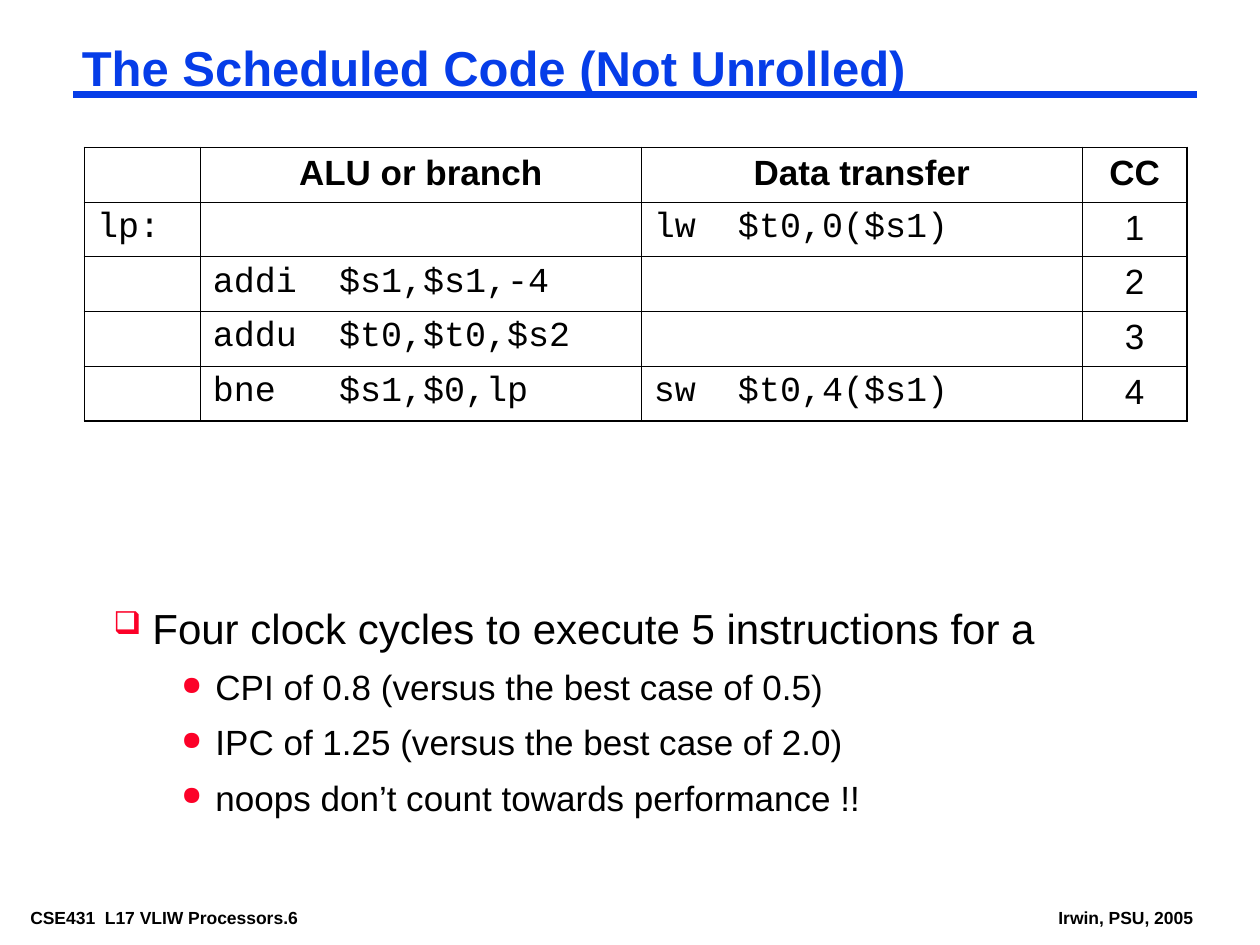
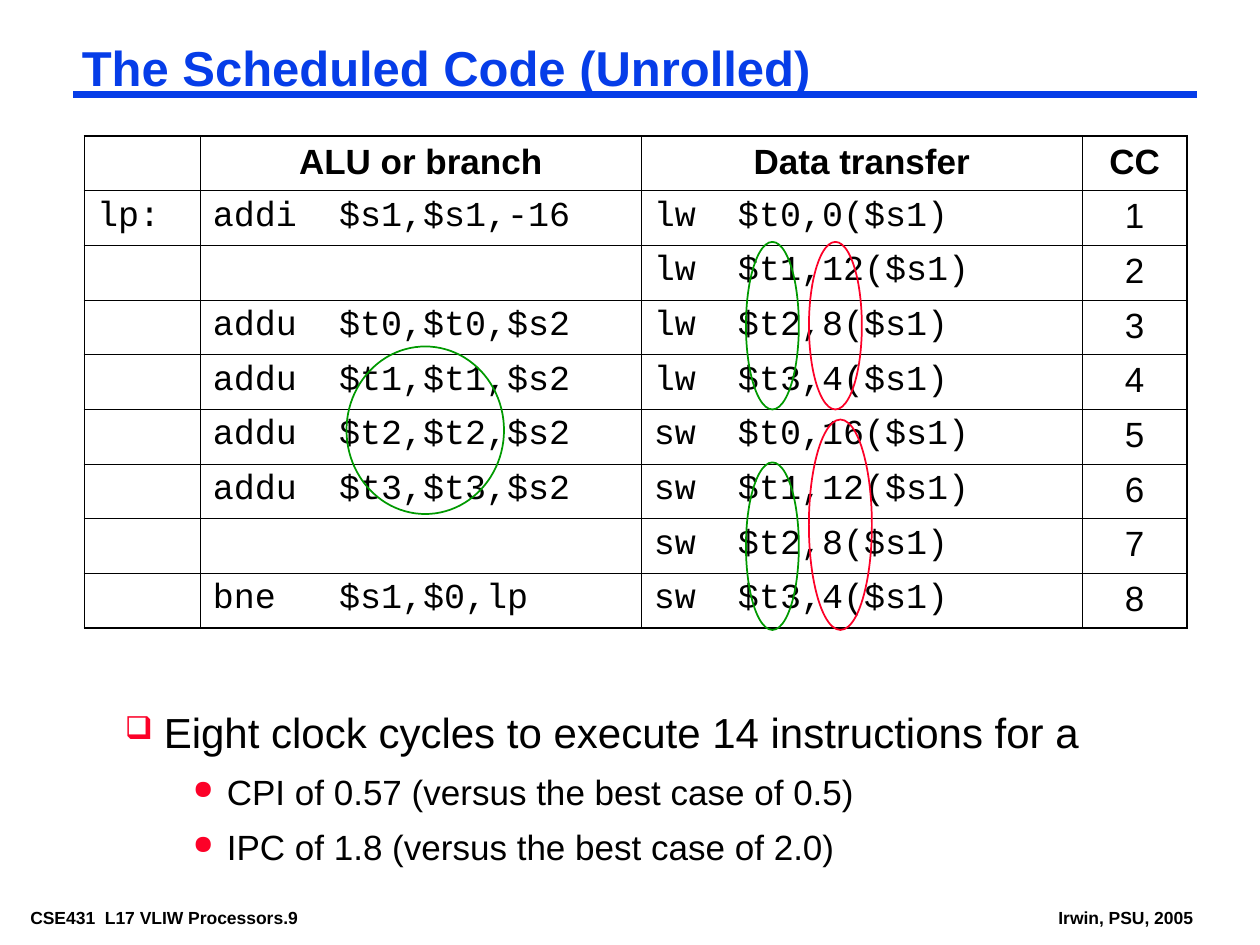
from dataclasses import dataclass

import pptx
import pptx.dml.color
import pptx.enum.shapes
import pptx.enum.text
import pptx.oxml
import pptx.oxml.ns
import pptx.util
from pptx.util import Inches

Align = pptx.enum.text.PP_ALIGN
Fit = pptx.enum.text.MSO_AUTO_SIZE


@dataclass(frozen=True)
class Theme:
    """Colours, fonts, type sizes and line widths in points."""
    ink: str = "000000"
    blue: str = "063DE8"
    red: str = "FC0128"
    green: str = "009900"
    sans: str = "Arial"
    mono: str = "Courier New"
    title: float = 28
    lead: float = 24
    text: float = 20
    foot: float = 10
    rule: float = 4.5
    frame: float = 1.08
    grid: float = 0.45
    ring: float = 1


@dataclass(frozen=True)
class Box:
    left: float
    top: float
    width: float
    height: float

    def inches(self) -> tuple:
        return tuple(map(Inches, (self.left, self.top, self.width, self.height)))


@dataclass(frozen=True)
class Ring:
    box: Box
    color: str


@dataclass(frozen=True)
class Bullet:
    mark: str
    margin: float
    hang: float
    size: float
    before: float


@dataclass(frozen=True)
class Page:
    number: int
    title: str
    grid: Box
    code: tuple  # (ALU or branch, data transfer) for each clock cycle
    notes: Box
    lead: str
    points: tuple
    rings: tuple = ()


THEME = Theme()
TITLE = Box(0.58, 0.33, 8.92, 0.46)
RULE_Y = 0.75
COURSE = Box(0.17, 7.17, 2.85, 0.22)
AUTHOR = Box(8.33, 7.17, 1.21, 0.22)
HEADS = ("", "ALU or branch", "Data transfer", "CC")
WIDTHS = (0.92, 3.5, 3.5, 0.83)
LEAD = Bullet("❑", 0.31, 0.31, THEME.lead, 9)
POINT = Bullet("●", 0.81, 0.27, THEME.text, 7.5)

PAGES = (
    Page(
        6, "The Scheduled Code (Not Unrolled)",
        Box(0.67, 1.17, 8.75, 2.17),
        (("", "lw  $t0,0($s1)"),
         ("addi  $s1,$s1,-4", ""),
         ("addu  $t0,$t0,$s2", ""),
         ("bne   $s1,$0,lp", "sw  $t0,4($s1)")),
        Box(0.83, 4.75, 8.42, 1.77),
        "Four clock cycles to execute 5 instructions for a",
        ("CPI of 0.8 (versus the best case of 0.5)",
         "IPC of 1.25 (versus the best case of 2.0)",
         "noops don’t count towards performance !!"),
    ),
    Page(
        9, "The Scheduled Code (Unrolled)",
        Box(0.67, 1.08, 8.75, 3.9),
        (("addi  $s1,$s1,-16", "lw  $t0,0($s1)"),
         ("", "lw  $t1,12($s1)"),
         ("addu  $t0,$t0,$s2", "lw  $t2,8($s1)"),
         ("addu  $t1,$t1,$s2", "lw  $t3,4($s1)"),
         ("addu  $t2,$t2,$s2", "sw  $t0,16($s1)"),
         ("addu  $t3,$t3,$s2", "sw  $t1,12($s1)"),
         ("", "sw  $t2,8($s1)"),
         ("bne   $s1,$0,lp", "sw  $t3,4($s1)")),
        Box(0.92, 5.58, 8.42, 1.33),
        "Eight clock cycles to execute 14 instructions for a",
        ("CPI of 0.57 (versus the best case of 0.5)",
         "IPC of 1.8 (versus the best case of 2.0)"),
        (Ring(Box(6.42, 1.92, 0.42, 1.33), THEME.red),
         Ring(Box(5.92, 1.92, 0.42, 1.33), THEME.green),
         Ring(Box(5.92, 3.67, 0.42, 1.33), THEME.green),
         Ring(Box(6.42, 3.33, 0.5, 1.67), THEME.red),
         Ring(Box(2.75, 2.75, 1.25, 1.33), THEME.green)),
    ),
)


def paint(color: str) -> pptx.dml.color.RGBColor:
    return pptx.dml.color.RGBColor.from_string(color)


def add_xml(parent, tag: str, **attrs):
    """Append a drawing element with the given attributes."""
    node = pptx.oxml.parse_xml(f"<a:{tag} {pptx.oxml.ns.nsdecls('a')}/>")
    for name, value in attrs.items():
        node.set(name, str(value))
    parent.append(node)
    return node


def write(frame, text: str, *, size: float = THEME.text, font: str = THEME.sans,
          color: str = THEME.ink, bold: bool = False, align=Align.LEFT,
          before: float = 0, lines: float = 1):
    """Add one formatted paragraph, using the first one while it is empty."""
    para = frame.add_paragraph() if frame.text else frame.paragraphs[0]
    para.alignment = align
    para.space_before = pptx.util.Pt(before)
    para.line_spacing = lines
    run = para.add_run()
    run.text = text
    run.font.name = font
    run.font.size = pptx.util.Pt(size)
    run.font.bold = bold
    run.font.color.rgb = paint(color)
    return para


def pad(frame, wrap: bool = True, fit=Fit.NONE) -> None:
    frame.margin_left = frame.margin_right = Inches(0.07)
    frame.margin_top = frame.margin_bottom = Inches(0.03)
    frame.vertical_anchor = pptx.enum.text.MSO_ANCHOR.TOP
    frame.word_wrap = wrap
    frame.auto_size = fit


# Title, rule and footers
def draw_base(slide, page: Page) -> None:
    footers = ((COURSE, f"CSE431  L17 VLIW Processors.{page.number}"),
               (AUTHOR, "Irwin, PSU, 2005"))
    for box, text in footers:
        frame = slide.shapes.add_textbox(*box.inches()).text_frame
        pad(frame, wrap=False, fit=Fit.SHAPE_TO_FIT_TEXT)
        write(frame, text, size=THEME.foot, bold=True)

    rule = slide.shapes.add_connector(
        pptx.enum.shapes.MSO_CONNECTOR.STRAIGHT, Inches(TITLE.left), Inches(RULE_Y),
        Inches(TITLE.left + TITLE.width), Inches(RULE_Y))
    rule.line.color.rgb = paint(THEME.blue)
    rule.line.width = pptx.util.Pt(THEME.rule)
    add_xml(rule._element.spPr, "effectLst")

    title = slide.shapes.title
    title.left, title.top, title.width, title.height = TITLE.inches()
    pad(title.text_frame)
    write(title.text_frame, page.title, size=THEME.title, color=THEME.blue,
          bold=True, lines=0.87)


# Bulleted notes
def draw_notes(slide, page: Page) -> None:
    frame = slide.shapes.add_textbox(*page.notes.inches()).text_frame
    pad(frame)
    items = [(page.lead, LEAD)] + [(text, POINT) for text in page.points]
    for text, style in items:
        para = write(frame, text, size=style.size, before=style.before)
        para.level = int(style is POINT)
        props = para._p.get_or_add_pPr()
        props.set("marL", str(Inches(style.margin)))
        props.set("indent", str(-Inches(style.hang)))
        add_xml(add_xml(props, "buClr"), "srgbClr", val=THEME.red)
        add_xml(props, "buSzPct", val=75000)
        add_xml(props, "buChar", char=style.mark)


# Schedule table
def edge(cell, outer: dict) -> None:
    """Draw the four borders, heavier where the side is on the outside."""
    props = cell._tc.get_or_add_tcPr()
    for side, heavy in outer.items():
        width = THEME.frame if heavy else THEME.grid
        line = add_xml(props, f"ln{side}", w=int(pptx.util.Pt(width)))
        add_xml(add_xml(line, "solidFill"), "srgbClr", val=THEME.ink)
    cell.fill.background()


def draw_grid(slide, page: Page) -> None:
    rows = [HEADS] + [("" if cycle > 1 else "lp:", alu, data, str(cycle))
                      for cycle, (alu, data) in enumerate(page.code, 1)]
    last_row, last_col = len(rows) - 1, len(HEADS) - 1
    table = slide.shapes.add_table(len(rows), len(HEADS), *page.grid.inches()).table
    table.first_row = table.horz_banding = False
    for col, width in zip(table.columns, WIDTHS):
        col.width = Inches(width)
    for row in table.rows:
        row.height = Inches(page.grid.height / len(rows))

    for r, texts in enumerate(rows):
        for c, text in enumerate(texts):
            cell = table.cell(r, c)
            head, count = r == 0, c == last_col
            if text:
                write(cell.text_frame, text, bold=head, before=7.5,
                      font=THEME.sans if head or count else THEME.mono,
                      align=Align.CENTER if head or count else Align.LEFT)
            edge(cell, {"L": c == 0, "R": count, "T": head, "B": r == last_row})


# Rings around the renamed registers and changed offsets
def draw_ring(slide, ring: Ring) -> None:
    shape = slide.shapes.add_shape(pptx.enum.shapes.MSO_SHAPE.OVAL, *ring.box.inches())
    shape.shadow.inherit = False
    shape.fill.background()
    shape.line.color.rgb = paint(ring.color)
    shape.line.width = pptx.util.Pt(THEME.ring)


def main() -> None:
    deck = pptx.Presentation()
    deck.slide_width, deck.slide_height = Inches(10), Inches(7.5)
    for page in PAGES:
        slide = deck.slides.add_slide(deck.slide_layouts.get_by_name("Title Only"))
        draw_base(slide, page)
        draw_notes(slide, page)
        draw_grid(slide, page)
        for ring in page.rings:
            draw_ring(slide, ring)
    deck.save("out.pptx")


if __name__ == "__main__":
    main()
